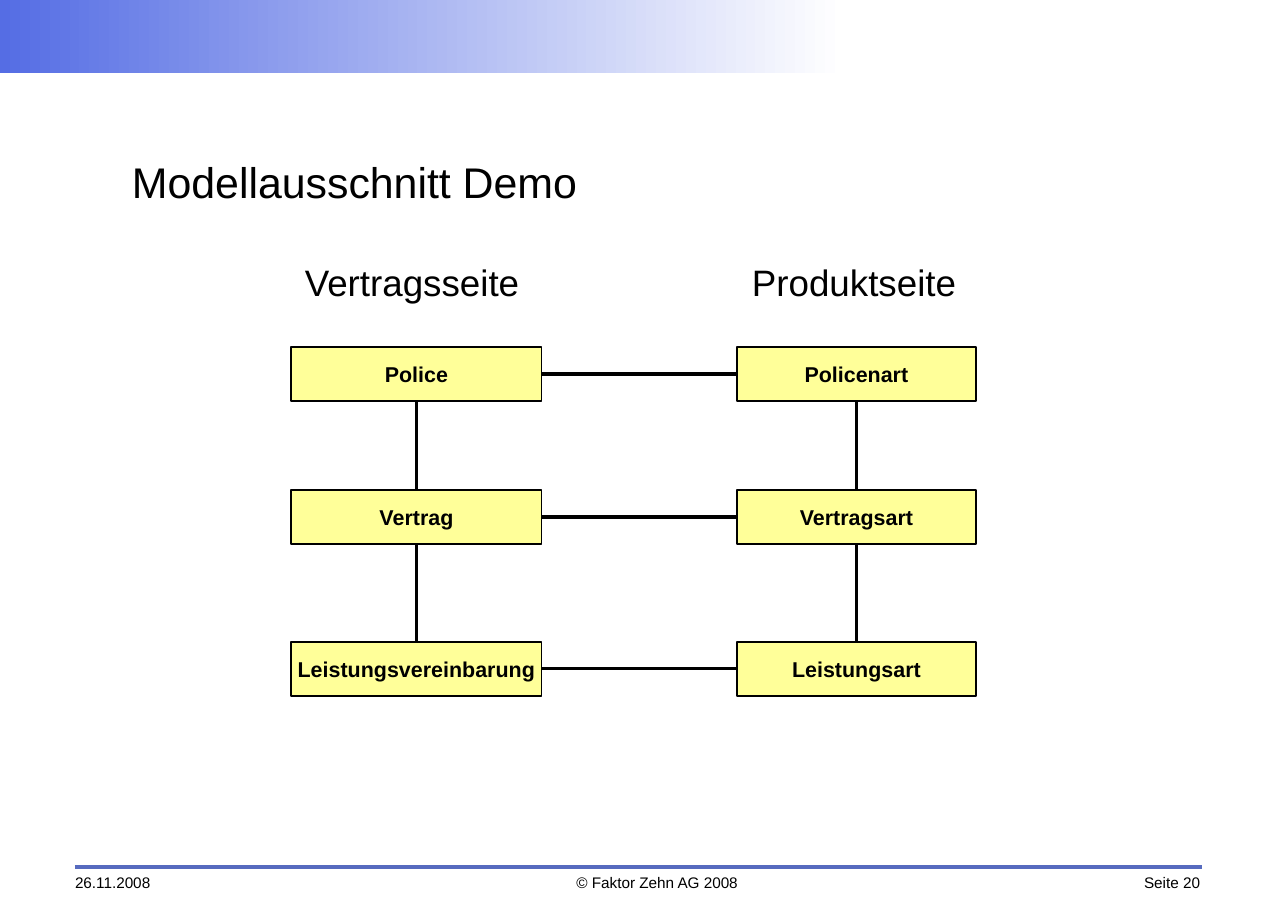
from lxml.etree import SubElement
from pptx import Presentation
from pptx.dml.color import RGBColor
from pptx.enum.shapes import MSO_CONNECTOR, MSO_SHAPE
from pptx.enum.text import MSO_ANCHOR, PP_ALIGN
from pptx.oxml.ns import qn
from pptx.util import Pt

PX = 914400 / 110.2
BLACK = RGBColor(0x00, 0x00, 0x00)
WHITE = RGBColor(0xFF, 0xFF, 0xFF)
YELLOW = RGBColor(0xFF, 0xFF, 0x99)
BANNER_BLUE = RGBColor(0x55, 0x6D, 0xE4)
RULE_BLUE = RGBColor(0x57, 0x6B, 0xBF)
TOP, LEFT, BOTTOM, RIGHT = range(4)


def write(shape, text, size, align, anchor=MSO_ANCHOR.TOP, bold=False):
    frame = shape.text_frame
    frame.margin_left = frame.margin_right = frame.margin_top = frame.margin_bottom = 0
    frame.word_wrap = True
    frame.vertical_anchor = anchor
    frame.text = text
    paragraph = frame.paragraphs[0]
    paragraph.alignment = align
    font = paragraph.runs[0].font
    font.name, font.size, font.bold = "Arial", Pt(size), bold
    font.color.rgb = BLACK


def connect(start, start_site, end, end_site):
    link = slide.shapes.add_connector(MSO_CONNECTOR.STRAIGHT, 0, 0, 0, 0)
    link.begin_connect(start, start_site)
    link.end_connect(end, end_site)
    link.line.color.rgb = BLACK
    link.line.width = Pt(0)
    SubElement(link._element.spPr, qn("a:effectLst"))


prs = Presentation()
prs.slide_width, prs.slide_height = round(1288 * PX), round(911 * PX)
slide = prs.slides.add_slide(prs.slide_layouts[5])

banner = slide.shapes.add_shape(
    MSO_SHAPE.RECTANGLE, 0, 0, round(845 * PX), round(73 * PX))
banner.shadow.inherit = False
banner.line.fill.background()
banner.fill.gradient()
banner.fill.gradient_angle = 0
for stop, color in zip(banner.fill.gradient_stops, (BANNER_BLUE, WHITE)):
    stop.color.rgb = color

title = slide.shapes.title
title.left, title.top = round(132 * PX), round(105 * PX)
title.width, title.height = round(1026 * PX), round(152 * PX)
write(title, "Modellausschnitt Demo", 28, PP_ALIGN.LEFT, MSO_ANCHOR.MIDDLE)

columns = [
    ("Vertragsseite", 260, 291, 251, ("Police", "Vertrag", "Leistungsvereinbarung")),
    ("Produktseite", 702, 737, 239, ("Policenart", "Vertragsart", "Leistungsart")),
]
row_tops = (347, 490, 642)
sides = []
for heading, heading_left, left, width, names in columns:
    side_heading = slide.shapes.add_textbox(
        round(heading_left * PX), round(260 * PX), round(304 * PX), round(41 * PX))
    write(side_heading, heading, 24, PP_ALIGN.CENTER)
    entities = []
    for name, top in zip(names, row_tops):
        entity = slide.shapes.add_shape(
            MSO_SHAPE.RECTANGLE, round(left * PX), round(top * PX),
            round(width * PX), round(54 * PX))
        entity.shadow.inherit = False
        entity.fill.solid()
        entity.fill.fore_color.rgb = YELLOW
        entity.line.color.rgb = BLACK
        entity.line.width = Pt(0)
        write(entity, name, 14, PP_ALIGN.CENTER, MSO_ANCHOR.MIDDLE, True)
        entities.append(entity)
    for upper, lower in zip(entities, entities[1:]):
        connect(upper, BOTTOM, lower, TOP)
    sides.append(entities)

for contract_entity, product_entity in zip(*sides):
    connect(contract_entity, RIGHT, product_entity, LEFT)

footer_rule = slide.shapes.add_connector(
    MSO_CONNECTOR.STRAIGHT, round(75 * PX), round(867 * PX),
    round(1202 * PX), round(867 * PX))
footer_rule.line.color.rgb = RULE_BLUE
footer_rule.line.width = Pt(2.83)
SubElement(footer_rule._element.spPr, qn("a:effectLst"))

footer_parts = [
    ("26.11.2008", 75, 138, PP_ALIGN.LEFT),
    ("© Faktor Zehn AG 2008", 568, 178, PP_ALIGN.CENTER),
    ("Seite 20", 1076, 124, PP_ALIGN.RIGHT),
]
for text, left, width, align in footer_parts:
    footer_part = slide.shapes.add_textbox(
        round(left * PX), round(873 * PX), round(width * PX), round(21 * PX))
    write(footer_part, text, 10, align)

prs.save("out.pptx")
